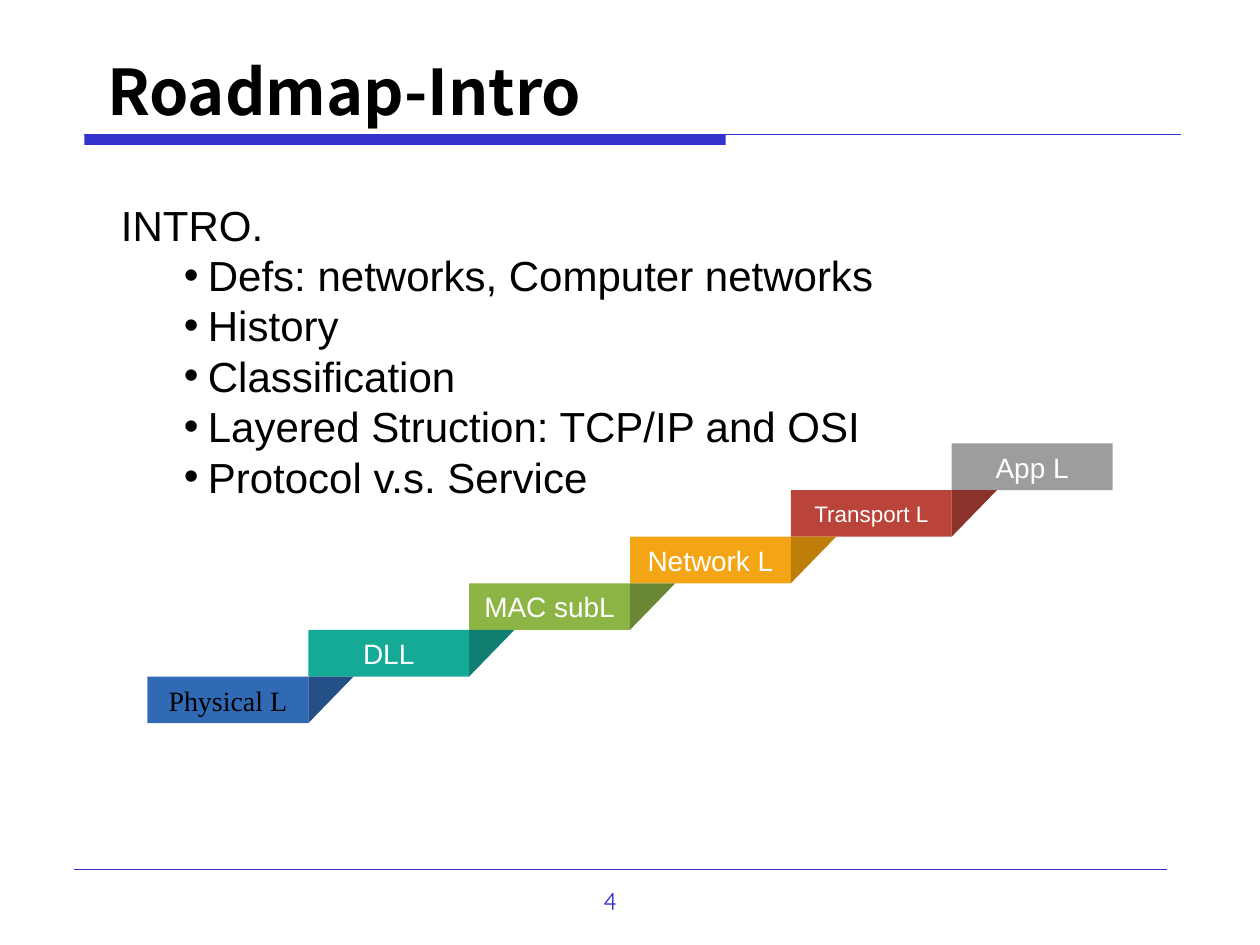
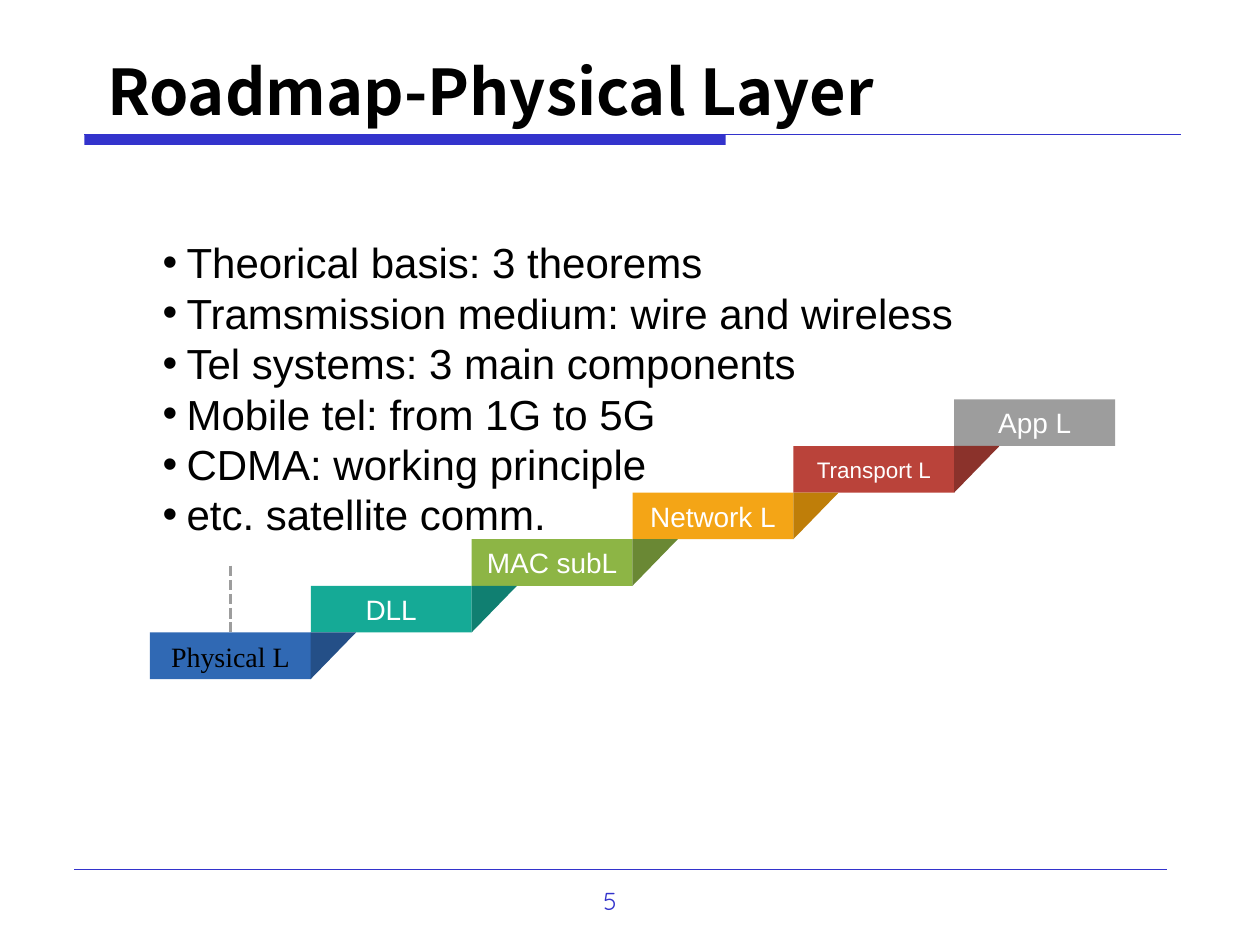
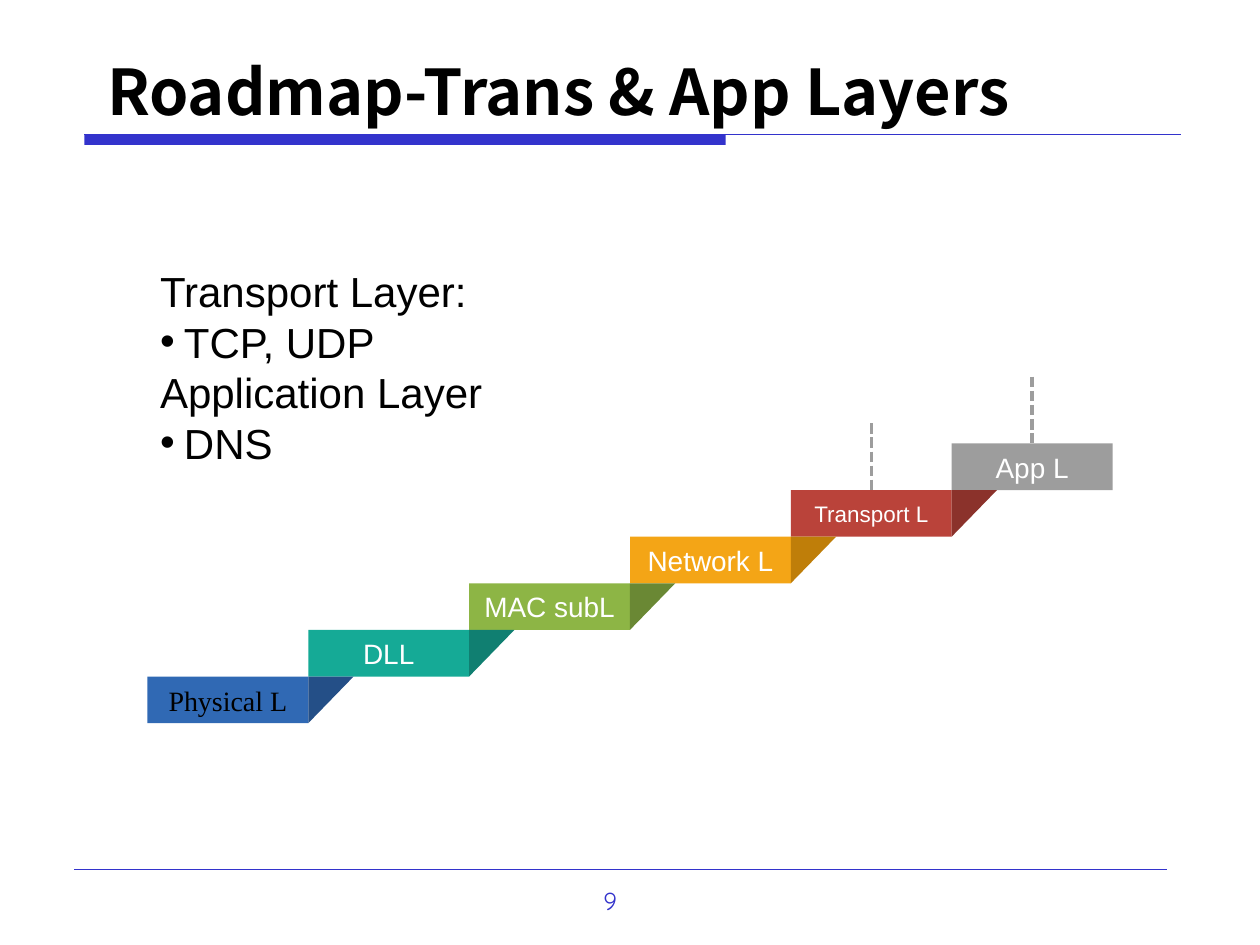
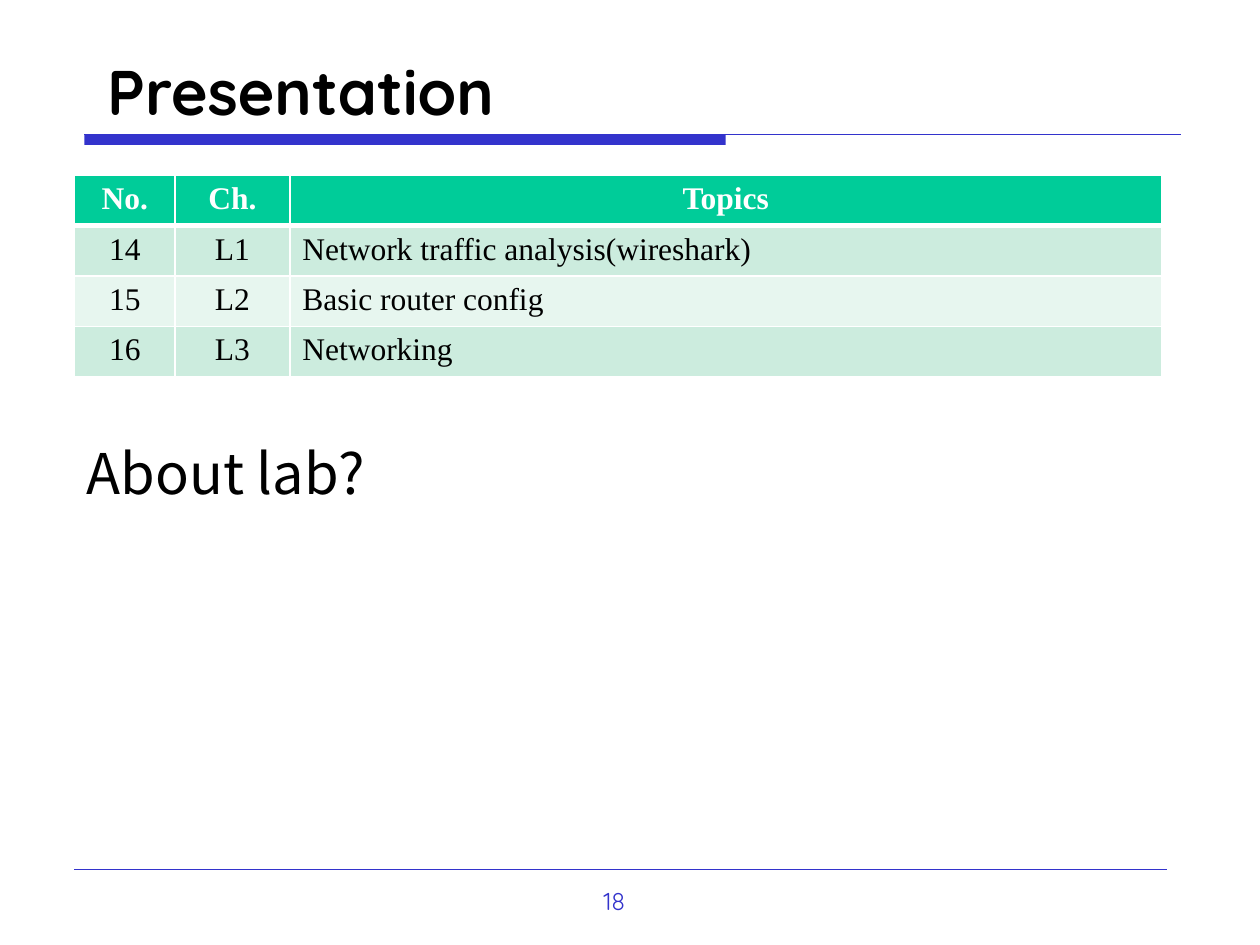
import pptx
import pptx.dml.color
import pptx.enum.dml
import pptx.enum.shapes
import pptx.enum.text
import pptx.oxml
import pptx.oxml.ns
import pptx.util
from pptx.util import Inches

ACCENT = "3333CC"
BLACK = "000000"
WHITE = "FFFFFF"
GREY = "9D9D9D"
HEADER_FILL = "00CC99"
ROW_FILLS = ["CCECDE", "E7F6EF"]

SANS = "Noto Sans CJK SC"
ROUNDED = "Quicksand"
SERIF = "Times New Roman"
PLAIN = "Arial"

ALIGN = pptx.enum.text.PP_ALIGN
ANCHOR = pptx.enum.text.MSO_ANCHOR
SHAPE = pptx.enum.shapes.MSO_SHAPE

# label, fill, fold colour, font, text size, text colour
LAYERS = [
    ("Physical L", "3069B4", "244F87", SERIF, 16, BLACK),
    ("DLL", "15AA96", "107F71", PLAIN, 16, WHITE),
    ("MAC subL", "8DB545", "6A8834", PLAIN, 16, WHITE),
    ("Network L", "F4A516", "BF7E09", PLAIN, 16, WHITE),
    ("Transport L", "BA433A", "8B322B", PLAIN, 12.8, WHITE),
    ("App L", GREY, None, PLAIN, 16, WHITE),
]

# Outline entries are (text, bulleted); boxes are left, top, width, height.
ROADMAPS = [
    dict(number=4, title="Roadmap-Intro", outline_box=(0.86, 1.53, 6.81, 3.1),
         stairs_box=(1.17, 3.52, 7.66, 2.22), marked=[], bullet_level=1,
         outline=[("INTRO.", False),
                  ("Defs: networks, Computer networks", True),
                  ("History", True),
                  ("Classification", True),
                  ("Layered Struction: TCP/IP and OSI", True),
                  ("Protocol v.s. Service", True)]),
    dict(number=5, title="Roadmap-Physical Layer", outline_box=(1.19, 1.83, 6.56, 2.46),
         stairs_box=(1.19, 3.17, 7.66, 2.22), marked=["Physical L"], bullet_level=0,
         outline=[("Theorical basis: 3 theorems", True),
                  ("Tramsmission medium: wire and wireless", True),
                  ("Tel systems: 3 main components", True),
                  ("Mobile tel: from 1G to 5G", True),
                  ("CDMA: working principle", True),
                  ("etc. satellite comm.", True)]),
    dict(number=9, title="Roadmap-Trans & App Layers", outline_box=(1.17, 2.06, 6.87, 2.06),
         stairs_box=(1.17, 3.52, 7.66, 2.22), marked=["Transport L", "App L"], bullet_level=0,
         outline=[("Transport Layer:", False),
                  ("TCP, UDP", True),
                  ("Application Layer", False),
                  ("DNS", True)]),
]

TOPICS = [
    ("No.", "Ch.", "Topics"),
    ("14", "L1", "Network traffic analysis(wireshark)"),
    ("15", "L2", "Basic router config"),
    ("16", "L3", "Networking"),
]


def rgb(value):
    return pptx.dml.color.RGBColor.from_string(value)


def inches(box):
    return [Inches(length) for length in box]


def add_run(paragraph, text, font, size, color=BLACK, bold=False):
    run = paragraph.add_run()
    run.text = text
    run.font.name = font
    run.font.size = pptx.util.Pt(size)
    run.font.bold = bold
    run.font.color.rgb = rgb(color)


def add_block(slide, kind, box, fill):
    block = slide.shapes.add_shape(kind, *inches(box))
    block.shadow.inherit = False
    block.fill.solid()
    block.fill.fore_color.rgb = rgb(fill)
    block.line.fill.background()
    return block


def add_line(slide, start, end, color, width):
    line = slide.shapes.add_connector(
        pptx.enum.shapes.MSO_CONNECTOR.STRAIGHT, *inches(start + end))
    line.line.color.rgb = rgb(color)
    line.line.width = pptx.util.Pt(width)
    properties = line._element.spPr
    properties.append(properties.makeelement(pptx.oxml.ns.qn("a:effectLst"), {}))
    return line


def add_label(slide, box, text, font, size, color=BLACK):
    label = slide.shapes.add_textbox(*inches(box))
    label.text_frame.word_wrap = True
    add_run(label.text_frame.paragraphs[0], text, font, size, color)


def place(placeholder, box, anchor):
    """Move a placeholder into the box and return its text frame."""
    placeholder.left, placeholder.top, placeholder.width, placeholder.height = inches(box)
    frame = placeholder.text_frame
    frame.auto_size = pptx.enum.text.MSO_AUTO_SIZE.NONE
    frame.vertical_anchor = anchor
    return frame


def add_framed_slide(deck, layout, number, title, title_font=SANS):
    """Add a slide with the title, title rule, footer rule and page number."""
    slide = deck.slides.add_slide(deck.slide_layouts.get_by_name(layout))
    add_block(slide, SHAPE.RECTANGLE, (0.67, 1.07, 5.09, 0.08), ACCENT)
    add_line(slide, (0.67, 1.07), (9.37, 1.07), ACCENT, 0.75)
    add_line(slide, (0.59, 6.9), (9.26, 6.9), ACCENT, 0.25)
    add_label(slide, (4.69, 6.98, 0.87, 0.33), str(number), ROUNDED, 14, ACCENT)
    heading = place(slide.shapes.title, (0.75, 0.36, 8.5, 0.71), ANCHOR.MIDDLE).paragraphs[0]
    heading.alignment = ALIGN.LEFT
    add_run(heading, title, title_font, 36, bold=True)
    return slide


def set_bullet(paragraph, bulleted, level):
    properties = paragraph._p.get_or_add_pPr()
    margin = 0.19 + 0.5 * level if bulleted else 0
    properties.set("marL", str(Inches(margin)))
    properties.set("indent", str(Inches(-0.19 if bulleted else 0)))
    mark = pptx.oxml.ns.qn("a:buChar" if bulleted else "a:buNone")
    properties.append(properties.makeelement(mark, {"char": "•"} if bulleted else {}))


def fill_outline(placeholder, box, outline, bullet_level):
    frame = place(placeholder, box, ANCHOR.TOP)
    for index, (text, bulleted) in enumerate(outline):
        paragraph = frame.add_paragraph() if index else frame.paragraphs[0]
        paragraph.level = bullet_level if bulleted else 0
        set_bullet(paragraph, bulleted, bullet_level)
        paragraph.space_before = pptx.util.Pt(0)
        paragraph.line_spacing = 1.0
        add_run(paragraph, text, PLAIN, 24)


def add_stairs(slide, box, marked):
    """Climb the layers from bottom left to top right; mark some with a dashed line."""
    left, top, width, height = box
    step_width, step_height = width / len(LAYERS), height / len(LAYERS)
    fold_width, marker_height = 0.36, 0.53
    folds = []
    for index, (name, fill, fold_fill, font, size, color) in enumerate(LAYERS):
        x = left + index * step_width
        y = top + height - (index + 1) * step_height
        step = add_block(slide, SHAPE.RECTANGLE, (x, y, step_width, step_height), fill)
        frame = step.text_frame
        frame.margin_left = frame.margin_right = 0
        frame.margin_top = frame.margin_bottom = 0
        frame.vertical_anchor = ANCHOR.MIDDLE
        frame.paragraphs[0].alignment = ALIGN.CENTER
        add_run(frame.paragraphs[0], name, font, size, color)
        if fold_fill:
            folds.append(((x + step_width, y, fold_width, step_height), fold_fill))
        if name in marked:
            middle = x + step_width / 2
            marker = add_line(slide, (middle, y - marker_height), (middle, y), GREY, 2)
            marker.line.dash_style = pptx.enum.dml.MSO_LINE.SQUARE_DOT
            marker.end_connect(step, 0)
    for fold_box, fold_fill in folds:
        fold = add_block(slide, SHAPE.RIGHT_TRIANGLE, fold_box, fold_fill)
        fold._element.spPr.xfrm.set("flipV", "1")


def add_roadmap_slide(deck, number, title, outline_box, outline, bullet_level,
                      stairs_box, marked):
    slide = add_framed_slide(deck, "Title and Content", number, title)
    add_stairs(slide, stairs_box, marked)
    fill_outline(slide.placeholders[1], outline_box, outline, bullet_level)


def set_borders(cell, widths):
    """Draw white borders; widths are points by side letter."""
    properties = cell._tc.get_or_add_tcPr()
    for side, width in widths.items():
        properties.append(pptx.oxml.parse_xml(
            f'<a:ln{side} {pptx.oxml.ns.nsdecls("a")} w="{pptx.util.Pt(width)}">'
            f'<a:solidFill><a:srgbClr val="{WHITE}"/></a:solidFill></a:ln{side}>'))


def add_topics_table(slide, left, top):
    column_widths, row_height = (0.8, 0.91, 6.92), 0.4
    box = (left, top, sum(column_widths), row_height * len(TOPICS))
    table = slide.shapes.add_table(len(TOPICS), len(column_widths), *inches(box)).table
    for column, width in zip(table.columns, column_widths):
        column.width = Inches(width)
    for row, texts in enumerate(TOPICS):
        header = row == 0
        for column, text in enumerate(texts):
            cell = table.cell(row, column)
            set_borders(cell, {"L": 1, "R": 1, "T": 3 if row == 1 else 1,
                               "B": 3 if header else 1})
            cell.fill.solid()
            cell.fill.fore_color.rgb = rgb(HEADER_FILL if header else ROW_FILLS[(row - 1) % 2])
            paragraph = cell.text_frame.paragraphs[0]
            paragraph.alignment = ALIGN.CENTER if header or column < 2 else ALIGN.LEFT
            add_run(paragraph, text, SERIF, 18, WHITE if header else BLACK, bold=header)


def add_presentation_slide(deck):
    slide = add_framed_slide(deck, "Title Only", 18, "Presentation", ROUNDED)
    add_topics_table(slide, 0.59, 1.39)
    add_label(slide, (0.59, 3.43, 5.23, 0.64), "About lab?", SANS, 32)


def main():
    deck = pptx.Presentation()
    deck.slide_width, deck.slide_height = Inches(10), Inches(7.5)
    for roadmap in ROADMAPS:
        add_roadmap_slide(deck, **roadmap)
    add_presentation_slide(deck)
    deck.save("out.pptx")


if __name__ == "__main__":
    main()
